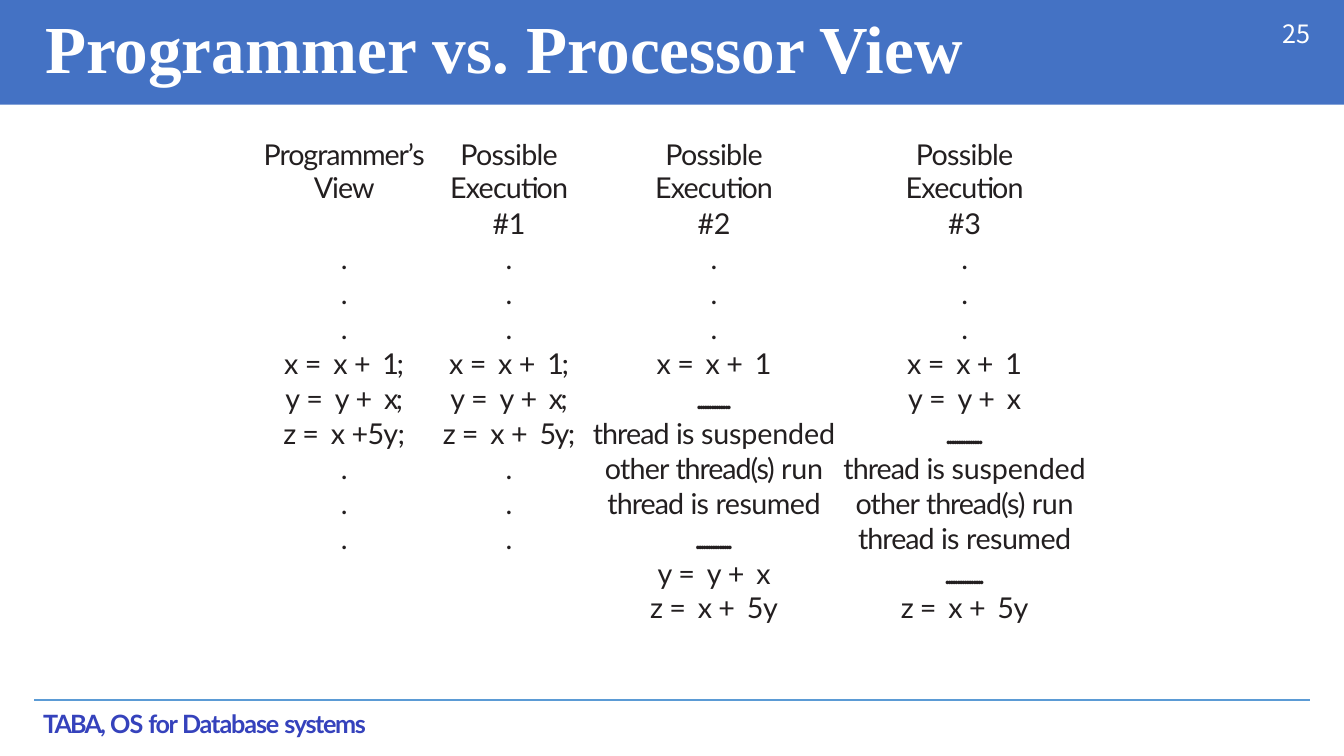
from itertools import zip_longest

from lxml import etree
from pptx import Presentation
from pptx.dml.color import RGBColor
from pptx.enum.shapes import MSO_CONNECTOR as Connector, MSO_SHAPE as Shape
from pptx.enum.text import PP_ALIGN as Align
from pptx.oxml.ns import qn
from pptx.util import Cm, Pt

COLORS = {"band": "4472C4", "rule": "5B9BD5", "white": "FFFFFF",
          "footer": "3542BC", "body": "231F20"}

# Letter spacing of each word, in hundredths of a point
TRACKING = {
    "Programmer’s": -80, "View": -70, "Possible": -50, "Execution": -60,
    "#1": -30, "#2": -30, "#3": -30,
    "x": -70, "y": -40, "z": -90, "=": 160, "+": 160,
    "1;": -170, "x;": -200, "+5y;": -50, "5y;": -110, "5y": -30, "1": -10,
    "thread": -70, "is": -60, "suspended": -10, "resumed": -40,
    "other": -60, "thread(s)": -80, "run": -20,
    "TABA,": -140, "OS": -70, "for": -110, "Database": -80, "systems": -100,
}
RULE_TRACKING = -320

DOTS = ["."] * 3
PAUSE = ["thread is suspended", "other thread(s) run", "thread is resumed"]
VIEWS = [
    ["Programmer’s\nView", "", *DOTS,
     "x = x + 1;", "y = y + x;", "z = x +5y;", *DOTS],
    ["Possible\nExecution", "#1", *DOTS,
     "x = x + 1;", "y = y + x;", "z = x + 5y;", *DOTS],
    ["Possible\nExecution", "#2", *DOTS, "x = x + 1",
     "." * 14, *PAUSE, "." * 15, "y = y + x", "z = x + 5y"],
    ["Possible\nExecution", "#3", *DOTS, "x = x + 1", "y = y + x",
     "." * 15, *PAUSE, "." * 16, "z = x + 5y"],
]
COLUMN_WIDTHS = [4.65, 3.63, 6.53, 6.3]
COLUMN_INDENTS = [0, 0.03, 0.2, 0]
HEADING_HEIGHT, LINE_HEIGHT = 1.75, 0.88


def rgb(name):
    return RGBColor.from_string(COLORS[name])


def set_font(paragraph, name, size, color, bold=False):
    font = paragraph.font
    font.name, font.size, font.bold = name, Pt(size), bold
    font.color.rgb = rgb(color)


def add_tracked_words(paragraph, line):
    """Add one run per word, each with its own letter spacing."""
    words = line.split()
    for position, word in enumerate(words, 1):
        run = paragraph.add_run()
        run.text = word if position == len(words) else word + " "
        is_rule = len(word) > 1 and set(word) == {"."}
        spacing = RULE_TRACKING if is_rule else TRACKING.get(word, 0)
        run._r.get_or_add_rPr().set("spc", str(spacing))


def add_label(slide, left, top, width, height):
    """Add a text box without margins and return its paragraph."""
    frame = slide.shapes.add_textbox(Cm(left), Cm(top), Cm(width), Cm(height)).text_frame
    frame.word_wrap = True
    frame.margin_left = frame.margin_right = frame.margin_bottom = 0
    frame.margin_top = Cm(0.03)
    return frame.paragraphs[0]


def add_band(slide, width):
    band = slide.shapes.add_shape(Shape.RECTANGLE, 0, 0, width, Cm(2.64))
    band.shadow.inherit = False
    band.fill.solid()
    band.fill.fore_color.rgb = rgb("band")
    band.line.fill.background()


def add_footer_rule(slide):
    rule = slide.shapes.add_connector(
        Connector.STRAIGHT, Cm(0.86), Cm(17.63), Cm(33.02), Cm(17.63))
    rule.line.color.rgb = rgb("rule")
    rule.line.width = Pt(1.5)
    etree.SubElement(rule._element.spPr, qn("a:effectLst"))


def add_title(slide):
    title = add_label(slide, 1.14, 0.13, 23.16, 2.11)
    title.space_before = Pt(1)
    set_font(title, "Times New Roman", 48, "white", bold=True)
    stops = etree.Element(qn("a:tabLst"))
    etree.SubElement(stops, qn("a:tab"), pos=str(Cm(12.14)), algn="l")
    title._p.pPr.find(qn("a:defRPr")).addprevious(stops)
    title.add_run().text = "Programmer vs.\tProcessor View"


def fill_cell(cell, text, indent):
    cell.fill.background()
    cell.margin_left = cell.margin_right = cell.margin_top = cell.margin_bottom = 0
    for number, line in enumerate(text.split("\n")):
        frame = cell.text_frame
        paragraph = frame.add_paragraph() if number else frame.paragraphs[0]
        paragraph.alignment = Align.CENTER
        paragraph.line_spacing = Pt(23.8)
        set_font(paragraph, "Lato", 20.5, "body")
        paragraph._p.pPr.set("marL", str(Cm(indent)))
        add_tracked_words(paragraph, line)


def add_views_table(slide):
    rows = list(zip_longest(*VIEWS, fillvalue=""))
    heights = [HEADING_HEIGHT] + [LINE_HEIGHT] * (len(rows) - 1)
    table = slide.shapes.add_table(
        len(rows), len(VIEWS), Cm(6.35), Cm(3.48),
        Cm(sum(COLUMN_WIDTHS)), Cm(sum(heights))).table
    table.first_row = table.horz_banding = False
    for column, width in zip(table.columns, COLUMN_WIDTHS):
        column.width = Cm(width)
    for row, height, texts in zip(table.rows, heights, rows):
        row.height = Cm(height)
        for cell, text, indent in zip(row.cells, texts, COLUMN_INDENTS):
            fill_cell(cell, text, indent)


def main():
    deck = Presentation()
    deck.slide_width, deck.slide_height = Cm(33.87), Cm(19.05)
    slide = deck.slides.add_slide(deck.slide_layouts[6])

    add_footer_rule(slide)
    add_band(slide, deck.slide_width)

    page_number = add_label(slide, 32.31, 0.43, 0.81, 0.84)
    set_font(page_number, "Noto Sans CJK JP", 18, "white")
    page_number.add_run().text = "25"

    footer = add_label(slide, 1.09, 17.82, 8.23, 0.84)
    set_font(footer, "Lato", 18, "footer", bold=True)
    add_tracked_words(footer, "TABA, OS for Database systems")

    add_title(slide)
    add_views_table(slide)
    deck.save("out.pptx")


if __name__ == "__main__":
    main()
